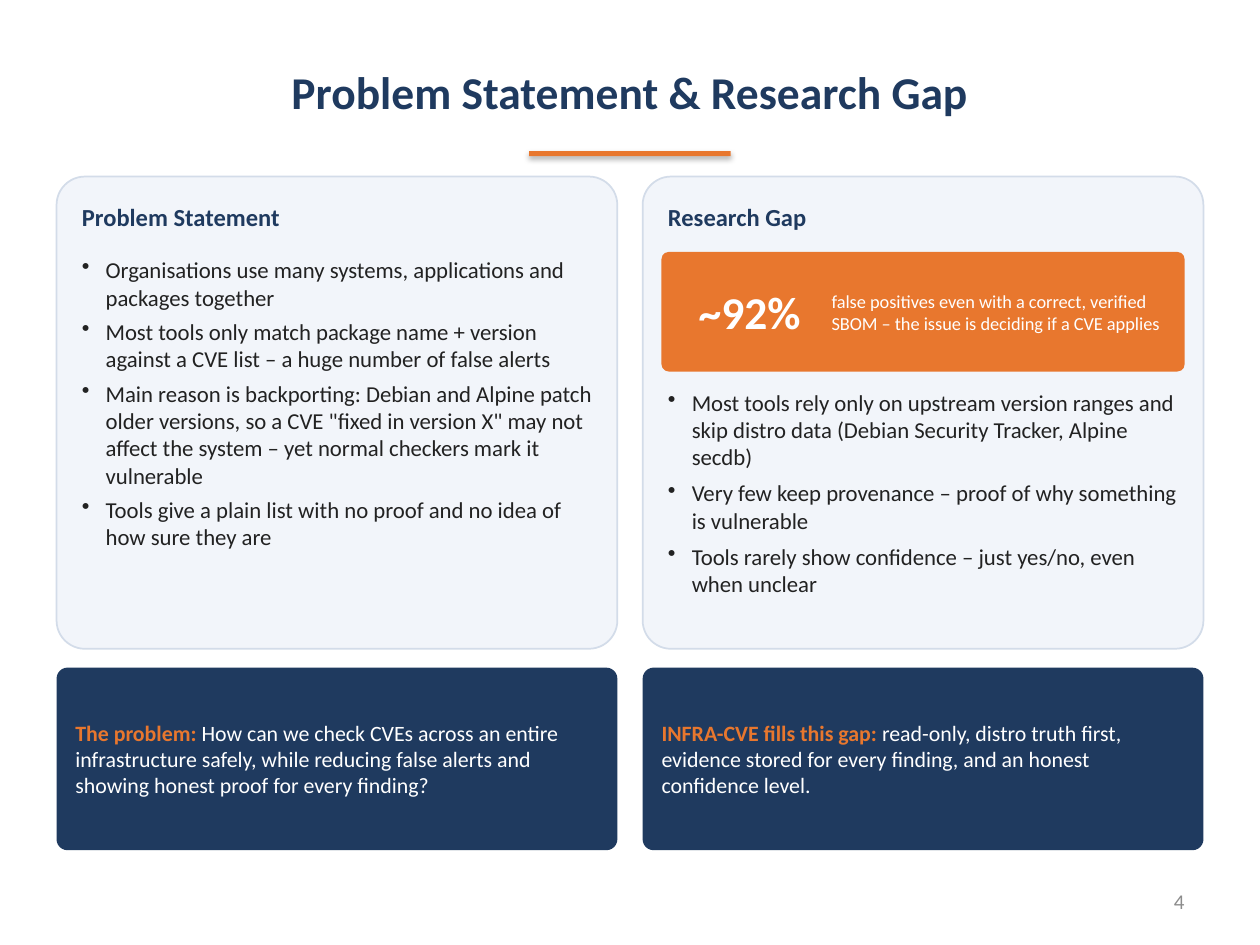
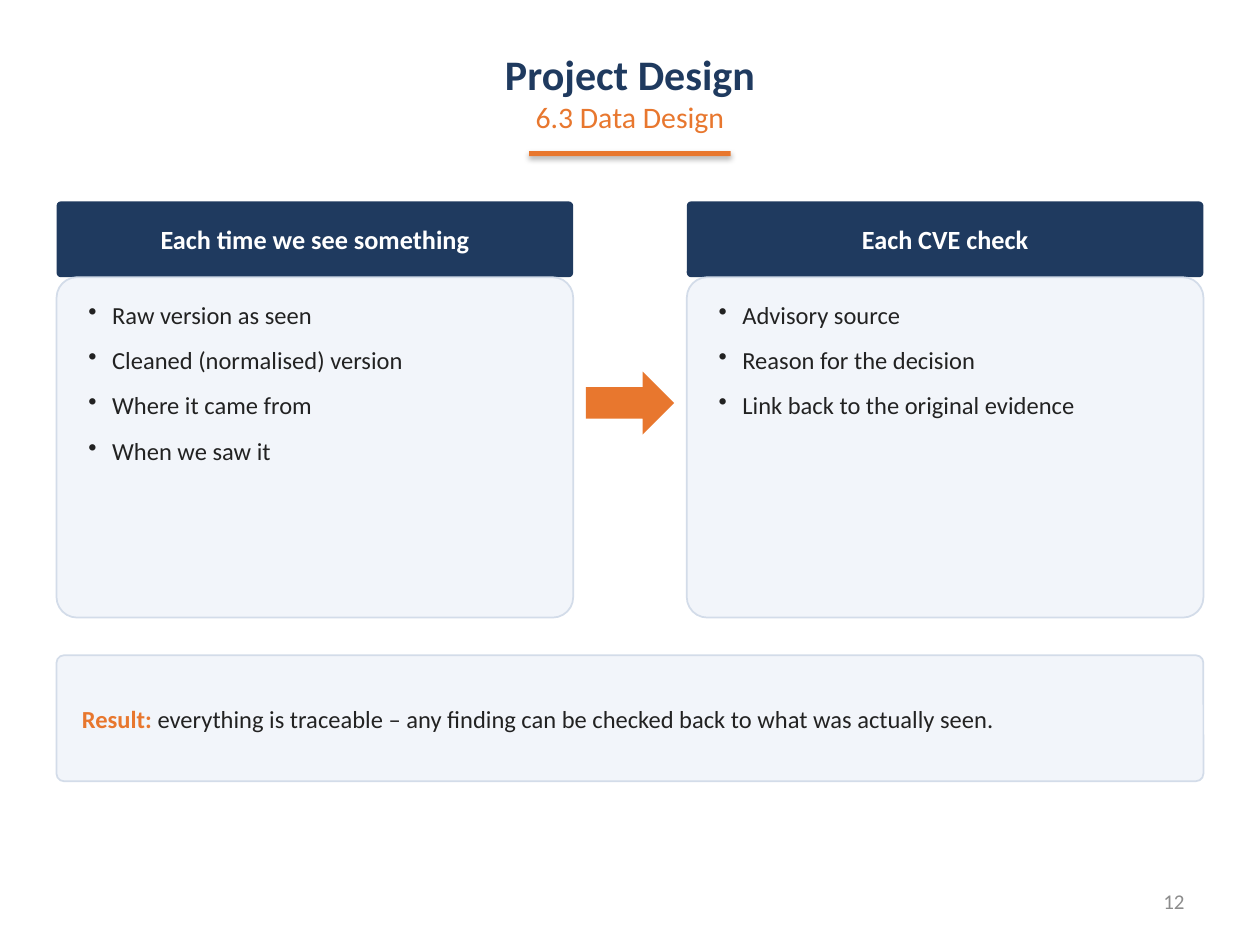
"""Build two slides: the problem and research gap, and the data design."""
from dataclasses import dataclass

from lxml.etree import SubElement
from pptx import Presentation
from pptx.dml.color import RGBColor
from pptx.enum.shapes import MSO_SHAPE
from pptx.enum.text import MSO_ANCHOR, PP_ALIGN
from pptx.oxml.ns import qn
from pptx.util import Cm, Pt

GAP_SLIDE = {
    "title": "Problem Statement & Research Gap",
    "page": "4",
    "panels": [
        {
            "heading": "Problem Statement",
            "points": [
                "Organisations use many systems, applications and packages together",
                "Most tools only match package name + version against a CVE list – a huge number of false alerts",
                "Main reason is backporting: Debian and Alpine patch older versions, so a CVE \"fixed in version X\" "
                "may not affect the system – yet normal checkers mark it vulnerable",
                "Tools give a plain list with no proof and no idea of how sure they are",
            ],
            "spacing": 4,
            "callout": ("The problem: ", "How can we check CVEs across an entire infrastructure safely, "
                        "while reducing false alerts and showing honest proof for every finding?"),
        },
        {
            "heading": "Research Gap",
            "statistic": ("~92%", "false positives even with a correct, verified SBOM – "
                          "the issue is deciding if a CVE applies"),
            "points": [
                "Most tools rely only on upstream version ranges and skip distro data "
                "(Debian Security Tracker, Alpine secdb)",
                "Very few keep provenance – proof of why something is vulnerable",
                "Tools rarely show confidence – just yes/no, even when unclear",
            ],
            "spacing": 5,
            "callout": ("INFRA-CVE fills this gap: ", "read-only, distro truth first, evidence stored for "
                        "every finding, and an honest confidence level."),
        },
    ],
}
DESIGN_SLIDE = {
    "title": "Project Design",
    "subtitle": "6.3 Data Design",
    "page": "12",
    "records": [
        ("Each time we see something",
         ["Raw version as seen", "Cleaned (normalised) version", "Where it came from", "When we saw it"]),
        ("Each CVE check",
         ["Advisory source", "Reason for the decision", "Link back to the original evidence"]),
    ],
    "result": ("Result: ", "everything is traceable – any finding can be checked back to what was actually seen."),
}


@dataclass(frozen=True)
class Theme:
    font: str = "Calibri"
    navy: str = "1F3A5F"
    orange: str = "E8772E"
    pale: str = "F2F5FA"
    edge: str = "D3DCE9"
    ink: str = "222222"
    grey: str = "8C8C8C"
    white: str = "FFFFFF"
    title: float = 26
    title_above_subtitle: float = 24
    subtitle: float = 17
    band: float = 15
    heading: float = 14
    body: float = 13
    callout: float = 12.5
    page: float = 12
    note: float = 10.5


THEME = Theme()
WIDTH, HEIGHT, MARGIN = 25.4, 19.05, 1.14
CONTENT = WIDTH - 2 * MARGIN
PAD = 0.38


def columns(gap, count=2):
    column = (CONTENT - gap * (count - 1)) / count
    return [MARGIN + i * (column + gap) for i in range(count)], column


def place(box):
    return [Cm(length) for length in box]


def draw_shape(slide, box, fill, edge=None, kind=MSO_SHAPE.ROUNDED_RECTANGLE, shadow=False):
    shape = slide.shapes.add_shape(kind, *place(box))
    if not shadow:
        shape.shadow.inherit = False
    if kind == MSO_SHAPE.ROUNDED_RECTANGLE:
        shape.adjustments[0] = 0.06
    shape.fill.solid()
    shape.fill.fore_color.rgb = RGBColor.from_string(fill)
    if edge:
        shape.line.color.rgb = RGBColor.from_string(edge)
        shape.line.width = Pt(1)
    else:
        shape.line.fill.background()


def style(run, size, color, bold=False):
    run.font.name = THEME.font
    run.font.size = Pt(size)
    run.font.bold = bold
    run.font.color.rgb = RGBColor.from_string(color)


def write(slide, box, lines, align=PP_ALIGN.LEFT, anchor=MSO_ANCHOR.MIDDLE, inset=(0.13, 0.08)):
    frame = slide.shapes.add_textbox(*place(box)).text_frame
    frame.word_wrap = True
    frame.vertical_anchor = anchor
    frame.margin_left = frame.margin_right = Cm(inset[0])
    frame.margin_top = frame.margin_bottom = Cm(inset[1])
    frame.text = "\n".join(text for text, *_ in lines)
    for paragraph, (_, *look) in zip(frame.paragraphs, lines):
        paragraph.alignment = align
        style(paragraph.runs[0], *look)
    return frame


def write_points(slide, box, points, size, spacing):
    lines = [(point, size, THEME.ink) for point in points]
    for paragraph in write(slide, box, lines, anchor=MSO_ANCHOR.TOP).paragraphs:
        paragraph.space_after = Pt(spacing)
        properties = paragraph._p.get_or_add_pPr()
        properties.set("marL", str(Cm(0.48)))
        properties.set("indent", str(-Cm(0.48)))
        SubElement(properties, qn("a:buChar")).set("char", "•")


def write_lead(slide, box, lead_and_rest, size, color):
    lead, rest = lead_and_rest
    frame = write(slide, box, [(lead, size, THEME.orange, True)])
    run = frame.paragraphs[0].add_run()
    run.text = rest
    style(run, size, color)


def start_slide(deck, content):
    slide = deck.slides.add_slide(deck.slide_layouts[6])
    subtitle = content.get("subtitle")
    title_size = THEME.title_above_subtitle if subtitle else THEME.title
    lines = [(content["title"], title_size, THEME.navy, True)]
    if subtitle:
        lines.append((subtitle, THEME.subtitle, THEME.orange))
    write(slide, (1.27, 0.64, WIDTH - 2.54, 2.41), lines, PP_ALIGN.CENTER, inset=(0.25, 0.13))
    write(slide, (18.21, 17.65, 5.92, 1.02), [(content["page"], THEME.page, THEME.grey)],
          PP_ALIGN.RIGHT, inset=(0.25, 0.13))
    rule = 4.06
    draw_shape(slide, ((WIDTH - rule) / 2, 3.05, rule, 0.1), THEME.orange,
               kind=MSO_SHAPE.RECTANGLE, shadow=True)
    return slide


def build_gap_slide(deck):
    slide = start_slide(deck, GAP_SLIDE)
    lefts, column = columns(0.51)
    top, bottom, body_top = 3.56, 13.08, 5.08
    for left, panel in zip(lefts, GAP_SLIDE["panels"]):
        inner, inner_width = left + PAD, column - 2 * PAD
        draw_shape(slide, (left, top, column, bottom - top), THEME.pale, THEME.edge)
        write(slide, (inner, 3.84, inner_width, 1.07), [(panel["heading"], THEME.heading, THEME.navy, True)])
        points_top = body_top
        if "statistic" in panel:
            figure, meaning = panel["statistic"]
            height = 2.41
            draw_shape(slide, (inner, body_top, inner_width, height), THEME.orange)
            write(slide, (inner + 0.13, body_top, 3.3, height), [(figure, THEME.title, THEME.white, True)],
                  PP_ALIGN.CENTER)
            write(slide, (inner + 3.3, body_top, 7.12, height), [(meaning, THEME.note, THEME.white)])
            points_top += height + 0.26
        write_points(slide, (inner, points_top, inner_width, bottom - points_top - 0.2),
                     panel["points"], THEME.body, panel["spacing"])
        callout_top, callout_height = 13.46, 3.68
        draw_shape(slide, (left, callout_top, column, callout_height), THEME.navy)
        write_lead(slide, (left + 0.25, callout_top, column - 0.5, callout_height),
                   panel["callout"], THEME.callout, THEME.white)


def build_design_slide(deck):
    slide = start_slide(deck, DESIGN_SLIDE)
    gap = 2.29
    lefts, column = columns(gap)
    band_top, band_height, card_height = 4.06, 1.53, 6.86
    card_top = band_top + band_height
    for left, (heading, points) in zip(lefts, DESIGN_SLIDE["records"]):
        band = (left, band_top, column, band_height)
        draw_shape(slide, band, THEME.navy)
        write(slide, band, [(heading, THEME.band, THEME.white, True)], PP_ALIGN.CENTER)
        draw_shape(slide, (left, card_top, column, card_height), THEME.pale, THEME.edge)
        write_points(slide, (left + 0.51, card_top + PAD, column - 1.02, card_height - 0.5),
                     points, THEME.heading, 9)
    arrow = 1.78
    draw_shape(slide, ((WIDTH - arrow) / 2, 7.49, arrow, 1.27), THEME.orange, kind=MSO_SHAPE.RIGHT_ARROW)
    result_top, result_height = 13.21, 2.54
    draw_shape(slide, (MARGIN, result_top, CONTENT, result_height), THEME.pale, THEME.edge)
    write_lead(slide, (MARGIN + PAD, result_top, CONTENT - 2 * PAD, result_height),
               DESIGN_SLIDE["result"], THEME.heading, THEME.ink)


def main():
    deck = Presentation()
    deck.slide_width, deck.slide_height = Cm(WIDTH), Cm(HEIGHT)
    build_gap_slide(deck)
    build_design_slide(deck)
    deck.save("out.pptx")


if __name__ == "__main__":
    main()
